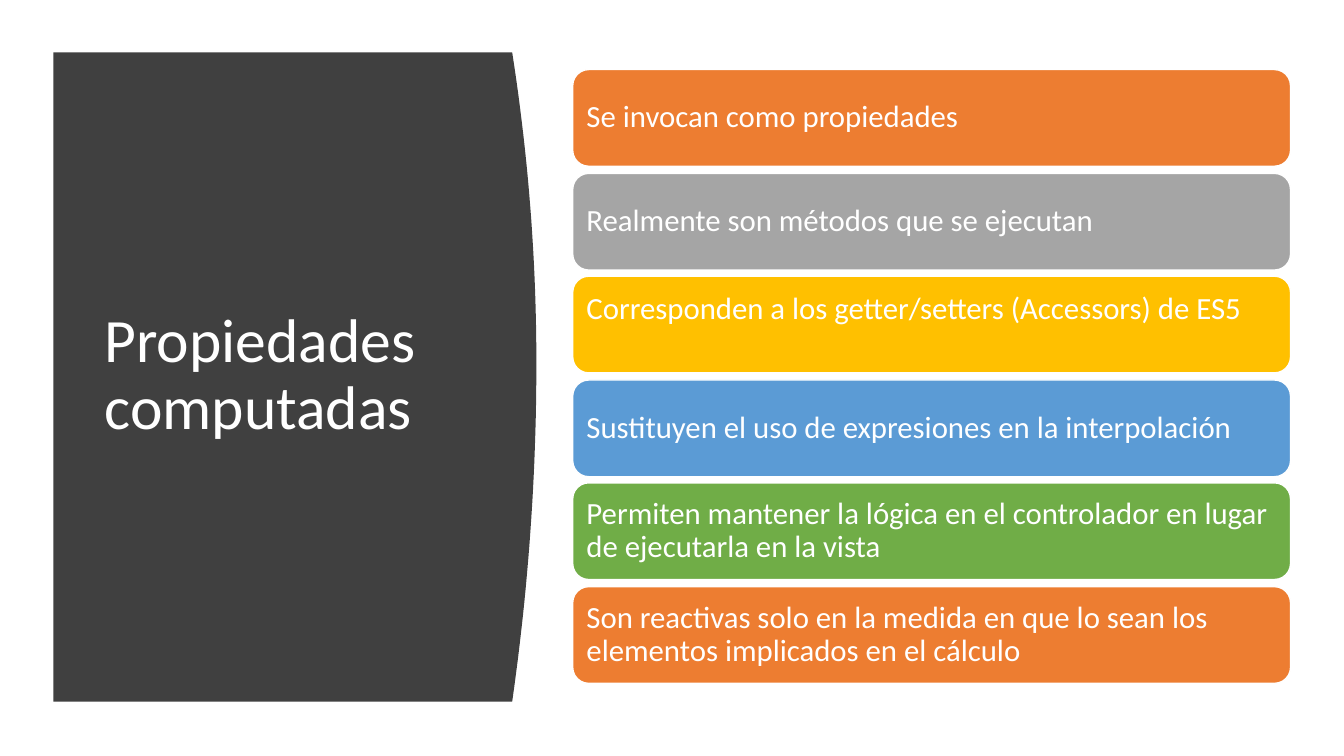
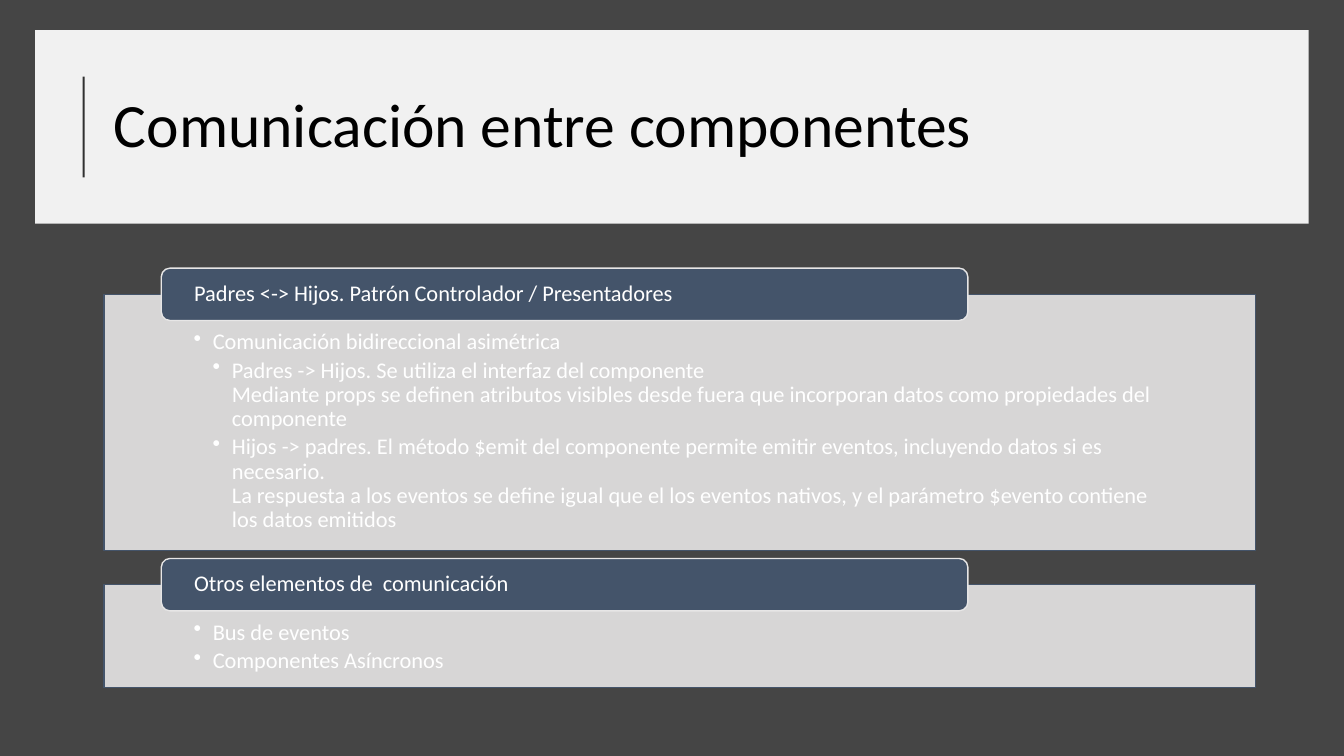
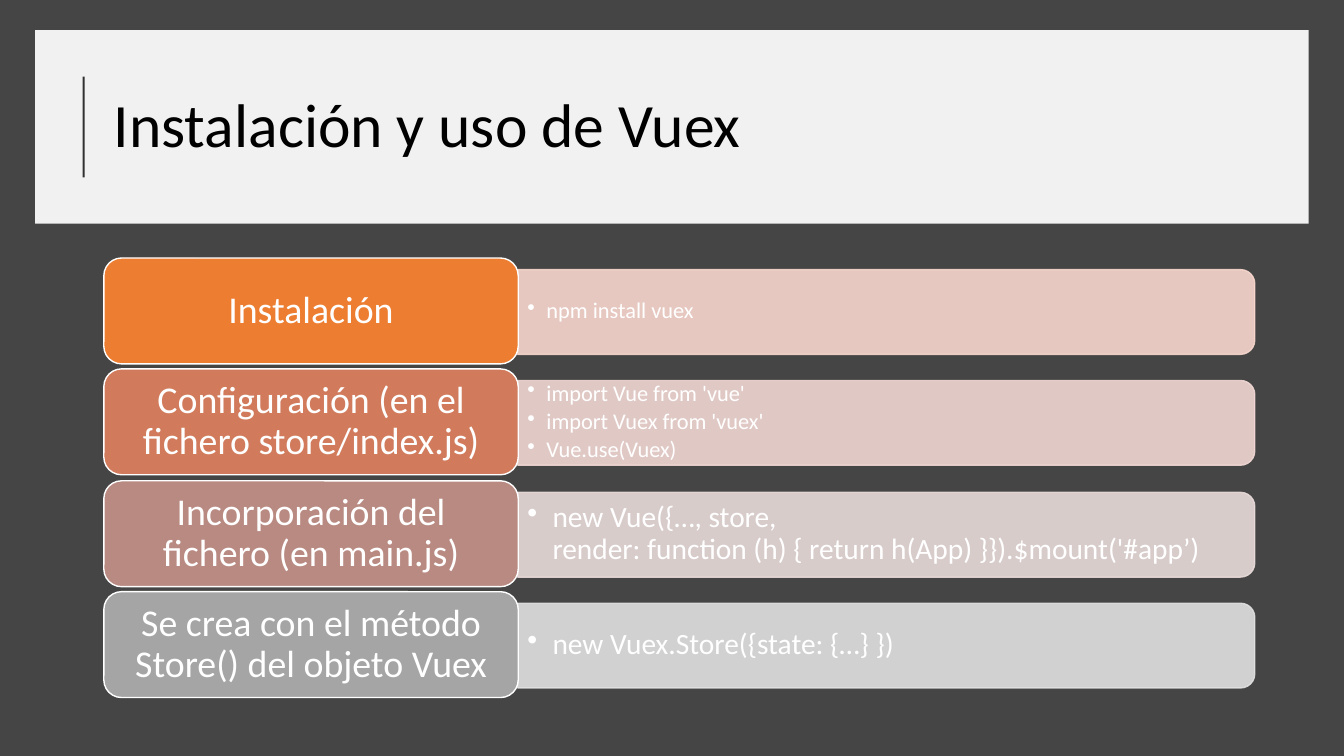
from pptx import Presentation
from pptx.dml.color import RGBColor
from pptx.enum.shapes import MSO_CONNECTOR, MSO_SHAPE
from pptx.enum.text import MSO_ANCHOR, PP_ALIGN
from pptx.oxml.ns import qn
from pptx.util import Emu, Pt
from lxml import etree

RECT, ROUND = MSO_SHAPE.RECTANGLE, MSO_SHAPE.ROUNDED_RECTANGLE
ROUND_TOP = MSO_SHAPE.ROUND_2_SAME_RECTANGLE
STRAIGHT = MSO_CONNECTOR.STRAIGHT
TOP, MIDDLE = MSO_ANCHOR.TOP, MSO_ANCHOR.MIDDLE
LEFT, CENTER = PP_ALIGN.LEFT, PP_ALIGN.CENTER

FONT = "Calibri"
EMU_PER_PX = 9144  # 100 px to the inch
COLORS = {
    "white": "FFFFFF", "black": "000000", "dark": "454545", "panel": "404040",
    "orange": "ED7D31", "gray": "A5A5A5", "yellow": "FFC000",
    "blue": "5B9BD5", "green": "70AD47", "navy": "44546A", "light": "E7E6E6",
    "terracotta": "D17B5C", "dusty": "B98A82",
    "pale orange": "F8D7CE", "pale terracotta": "F1D8D4",
    "pale dusty": "E9DBDA", "pale gray": "E1E1E1",
}


def px(n):
    return Emu(round(n * EMU_PER_PX))


def rgb(name):
    return RGBColor.from_string(COLORS[name])


def stack(first, last, count):
    """Evenly spaced tops from first to last."""
    return [round(first + (last - first) * i / (count - 1)) for i in range(count)]


def fade(element, percent):
    for color in element.iter(qn("a:srgbClr")):
        etree.SubElement(color, qn("a:alpha"), val=str(percent * 1000))


# Elements
def paint(sp, fill, line=None):
    sp.shadow.inherit = False
    sp.fill.solid()
    sp.fill.fore_color.rgb = rgb(fill)
    if line:
        sp.line.color.rgb = rgb(line)
        sp.line.width = Pt(1)
    else:
        sp.line.fill.background()


def box(s, kind, x, y, w, h, fill, line=None):
    sp = s.shapes.add_shape(kind, px(x), px(y), px(w), px(h))
    paint(sp, fill, line)
    return sp


def text_box(s, x, y, w, h):
    return s.shapes.add_textbox(px(x), px(y), px(w), px(h))


def add_bullet(p, level, step):
    pPr = p._p.get_or_add_pPr()
    pPr.set("marL", str(px(level * step)))
    pPr.set("indent", str(px(-step)))
    etree.SubElement(pPr, qn("a:buChar"), char="•")


def write(sp, items, size, color="white", insets=(10, 5), bottom=None,
          anchor=MIDDLE, align=LEFT, step=None):
    """Fill sp with (level, text) items; a step makes them bullets."""
    tf = sp.text_frame
    tf.word_wrap = True
    tf.vertical_anchor = anchor
    tf.margin_left = tf.margin_right = px(insets[0])
    tf.margin_top = px(insets[1])
    tf.margin_bottom = px(insets[1] if bottom is None else bottom)
    for i, (level, text) in enumerate(items):
        p = tf.add_paragraph() if i else tf.paragraphs[0]
        p.text = text
        if step:
            add_bullet(p, level, step)
        p.alignment = align
        p.line_spacing = 0.9
        if i < len(items) - 1:
            p.space_after = Pt(3)
        for r in p.runs:
            r.font.name = FONT
            r.font.size = Pt(size)
            r.font.color.rgb = rgb(color)


def new_slide(prs, background):
    s = prs.slides.add_slide(prs.slide_layouts[6])
    s.background.fill.solid()
    s.background.fill.fore_color.rgb = rgb(background)
    return s


def banner_slide(prs, title):
    s = new_slide(prs, "dark")
    band = box(s, RECT, 35, 30, 1263, 192, "white")
    fade(band._element.spPr, 93)
    write(text_box(s, 103, 53, 1142, 147), [(0, title)], 44, "black")
    rule = s.shapes.add_connector(STRAIGHT, px(83), px(176), px(83), px(76))
    rule.line.color.rgb = rgb("black")
    rule.line.width = Pt(1.5)
    spPr = rule._element.spPr
    fade(spPr, 80)
    etree.SubElement(spPr, qn("a:effectLst"))
    return s


def curved_panel(s, left, top, bottom, edge, bulge, peak):
    """Panel whose right side swells from edge by bulge at height peak."""
    points = []
    for y in range(top, bottom + 1, 14):
        reach = peak - top if y < peak else bottom - peak
        points.append((px(edge + bulge * (1 - ((y - peak) / reach) ** 2)), px(y)))
    fb = s.shapes.build_freeform(px(left), px(top))
    fb.add_line_segments(points + [(px(left), px(bottom))], close=True)
    paint(fb.convert_to_shape(), "panel")


def tab_card(s, y, h, heading, items):
    card = box(s, RECT, 103, y, 1142, h, "light", "navy")
    fade(card._element.spPr.find(qn("a:solidFill")), 90)
    write(card, items, 16, insets=(89, 36), bottom=12, anchor=TOP, step=19)
    tab = box(s, ROUND, 160, y - 26, 800, 52, "navy", "light")
    write(tab, [(0, heading)], 16, insets=(30, 0))


def step_row(s, y, color, heading, lines, size, step):
    # The bar is a tall shape turned a quarter about its centre
    w, h = 731, 84
    bar = box(s, ROUND_TOP, 514 + (w - h) // 2, y + 11 - (w - h) // 2, h, w,
              "pale " + color, "pale " + color)
    bar.rotation = 90
    fade(bar._element.spPr, 90)
    write(text_box(s, 514, y + 15, 727, 76), [(1, t) for t in lines], size,
          insets=(9, 4), step=step)
    fill = color
    head = box(s, ROUND, 103, y, 411, 105, fill, "white")
    write(head, [(0, heading)], 27, insets=(11, 6), align=CENTER)


# Slides
def computed_properties(prs):
    s = new_slide(prs, "white")
    curved_panel(s, 53, 52, 696, 508, 24, 360)
    write(text_box(s, 94, 111, 374, 524), [(0, "Propiedades computadas")], 44)
    bars = [
        ("orange", "Se invocan como propiedades"),
        ("gray", "Realmente son métodos que se ejecutan"),
        ("yellow", "Corresponden a los getter/setters (Accessors) de ES5\n"),
        ("blue", "Sustituyen el uso de expresiones en la interpolación"),
        ("green", "Permiten mantener la lógica en el controlador en lugar "
                  "de ejecutarla en la vista"),
        ("orange", "Son reactivas solo en la medida en que lo sean los "
                   "elementos implicados en el cálculo"),
    ]
    for y, (color, text) in zip(stack(69, 582, len(bars)), bars):
        bar = box(s, ROUND, 568, y, 712, 96, color, "white")
        write(bar, [(0, text)], 22, insets=(9, 9))


def communication(prs):
    s = banner_slide(prs, "Comunicación entre componentes")
    tab_card(s, 292, 254, "Padres <-> Hijos. Patrón Controlador / Presentadores", [
        (1, "Comunicación bidireccional asimétrica"),
        (2, "Padres -> Hijos. Se utiliza el interfaz del componente\n"
            "Mediante props se definen atributos visibles desde fuera que "
            "incorporan datos como propiedades del componente"),
        (2, "Hijos -> padres. El método $emit del componente permite emitir "
            "eventos, incluyendo datos si es necesario.\n"
            "La respuesta a los eventos se define igual que el los eventos "
            "nativos, y el parámetro $evento contiene los datos emitidos"),
    ])
    tab_card(s, 580, 102, "Otros elementos de  comunicación", [
        (1, "Bus de eventos"),
        (1, "Componentes Asíncronos"),
    ])


def vuex_setup(prs):
    s = banner_slide(prs, "Instalación y uso de Vuex")
    rows = [
        ("orange", "Instalación", ["npm install vuex"], 16, 19),
        ("terracotta", "Configuración (en el fichero store/index.js)",
         ["import Vue from 'vue'", "import Vuex from 'vuex'", "Vue.use(Vuex)"],
         16, 19),
        ("dusty", "Incorporación del fichero (en main.js)",
         ["new Vue({…, store,\n"
          "render: function (h) { return h(App) }}).$mount('#app’)"], 21, 25),
        ("gray", "Se crea con el método Store() del objeto Vuex",
         ["new Vuex.Store({state: {…} })"], 21, 25),
    ]
    for y, row in zip(stack(256, 587, len(rows)), rows):
        step_row(s, y, *row)


def main():
    prs = Presentation()
    prs.slide_width, prs.slide_height = px(1333), px(750)
    computed_properties(prs)
    communication(prs)
    vuex_setup(prs)
    prs.save("out.pptx")


if __name__ == "__main__":
    main()
